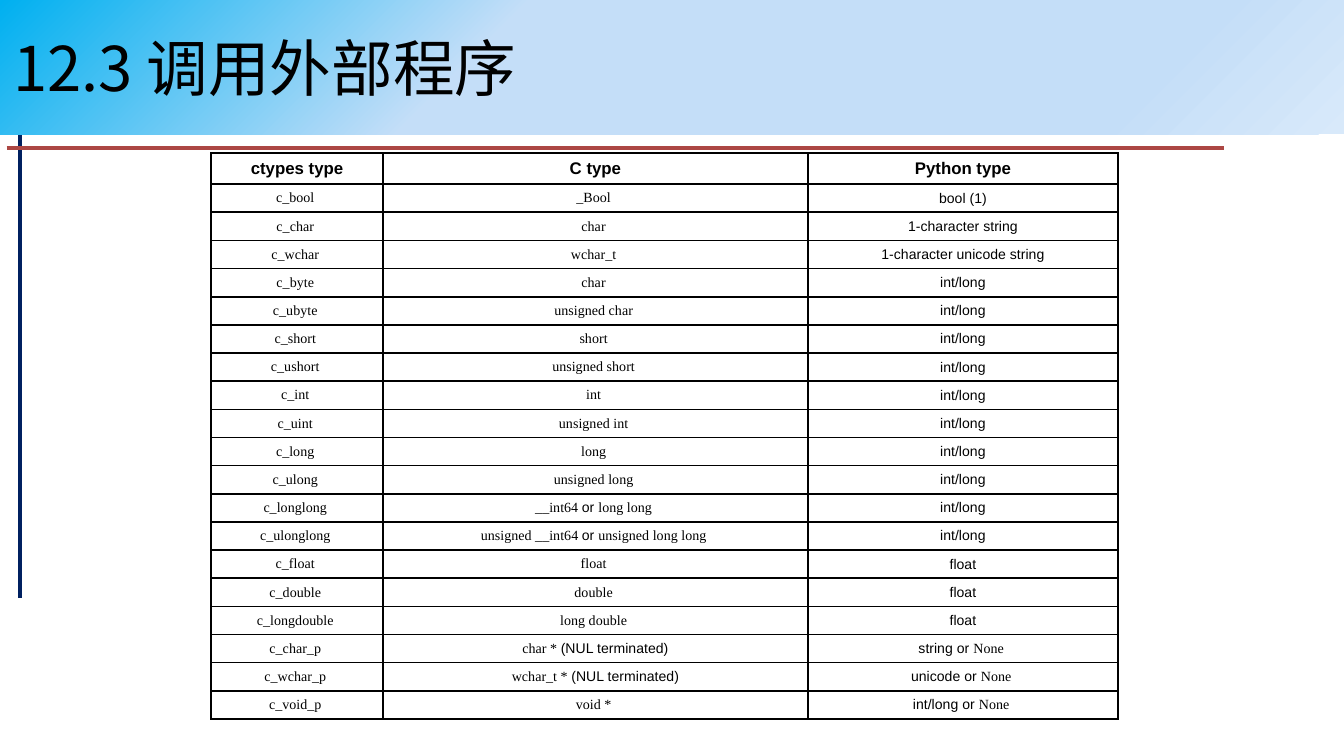
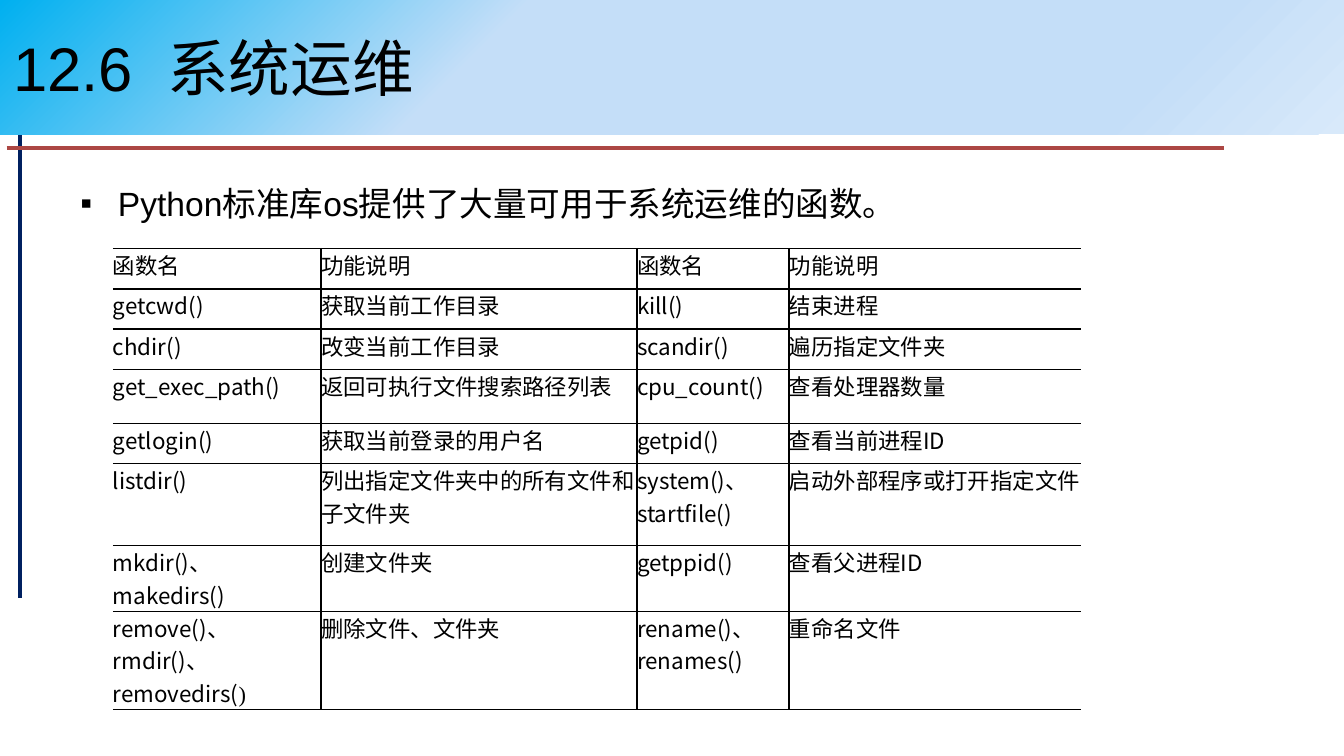
from dataclasses import dataclass
from itertools import cycle

from lxml import etree
from pptx import Presentation
from pptx.dml.color import RGBColor
from pptx.enum.shapes import MSO_CONNECTOR as CONNECTOR, MSO_SHAPE as SHAPE
from pptx.enum.text import MSO_ANCHOR as ANCHOR, PP_ALIGN as ALIGN
from pptx.oxml import parse_xml
from pptx.oxml.ns import nsdecls, qn
from pptx.slide import Slide
from pptx.util import Inches, Pt

SANS, CJK, SERIF = "Arial", "Noto Sans CJK SC", "Times New Roman"
BLACK, NAVY, BRICK = "000000", "002060", "AC4744"
BAND_STOPS = [(0, "00B0F0"), (36, "C4DEF8"), (83, "C4DEF8"), (100, "D8E9FA")]


@dataclass
class Rule:
    """A straight line shared by all slides."""
    start: tuple[float, float]
    end: tuple[float, float]
    color: str


@dataclass
class TableStyle:
    """Place, grid and text style of a table; fonts go by column."""
    left: float
    top: float
    widths: list[float]
    heights: list[float]
    fonts: list[str]
    other_fonts: list[str]
    size: float
    margins: tuple[float, float] = (0, 0)
    align: ALIGN = ALIGN.LEFT
    anchor: ANCHOR = ANCHOR.TOP
    header_size: float | None = None
    open_sides: bool = False


RULES = [Rule((0.15, 0.81), (0.15, 4.45), NAVY),
         Rule((0.05, 1.1), (9.11, 1.1), BRICK)]


def rgb(color: str) -> RGBColor:
    """Turn a hex string into a colour."""
    return RGBColor.from_string(color)


def set_face(font, name: str) -> None:
    """Set the Latin font and the font of Chinese characters."""
    font.name = name
    for old in font._element.findall(qn("a:ea")):
        font._element.remove(old)
    east_asian = etree.Element(qn("a:ea"), typeface=CJK)
    font._element.find(qn("a:latin")).addnext(east_asian)


def write(paragraph, text: str, size: float, face: str, other: str = SANS) -> None:
    """Write text whose parts, split by |, alternate between two fonts."""
    paragraph.font.size = Pt(size)
    paragraph.font.color.rgb = rgb(BLACK)
    set_face(paragraph.font, face)
    parts = text.split("|")
    for part, part_face in zip(parts, cycle((face, other))):
        run = paragraph.add_run()
        run.text = part
        if len(parts) > 1:
            set_face(run.font, part_face)


def add_rule(slide: Slide, rule: Rule) -> None:
    """Draw a line without a shadow."""
    ends = [Inches(v) for v in (*rule.start, *rule.end)]
    line = slide.shapes.add_connector(CONNECTOR.STRAIGHT, *ends)
    line.line.color.rgb = rgb(rule.color)
    line.line.width = Pt(2.25)
    etree.SubElement(line._element.spPr, qn("a:effectLst"))


def add_title(slide: Slide, text: str, face: str) -> None:
    """Draw the title band with its radial gradient."""
    band = slide.shapes.add_shape(SHAPE.RECTANGLE, 0, 0, Inches(10), Inches(1))
    band.shadow.inherit = False
    band.line.fill.background()
    stops = "".join(f'<a:gs pos="{pos * 1000}"><a:srgbClr val="{color}"/></a:gs>'
                    for pos, color in BAND_STOPS)
    gradient = parse_xml(
        f'<a:gradFill {nsdecls("a")} rotWithShape="1"><a:gsLst>{stops}</a:gsLst>'
        '<a:path path="circle"><a:fillToRect r="100000" b="100000"/></a:path>'
        '</a:gradFill>')
    band._element.spPr.find(qn("a:prstGeom")).addnext(gradient)
    frame = band.text_frame
    frame.word_wrap = True
    frame.vertical_anchor = ANCHOR.MIDDLE
    frame.paragraphs[0].alignment = ALIGN.LEFT
    write(frame.paragraphs[0], text, 33, face)


def add_bullet(slide: Slide, text: str) -> None:
    """Write the body text with a square bullet."""
    body = slide.shapes.add_textbox(Inches(0.5), Inches(1.31), Inches(9), Inches(3.71))
    body.text_frame.word_wrap = True
    paragraph = body.text_frame.paragraphs[0]
    paragraph.space_before = Pt(2.7)
    write(paragraph, text, 18, SANS)
    props = paragraph._p.get_or_add_pPr()
    props.set("marL", str(Inches(0.28)))
    props.set("indent", str(-Inches(0.28)))
    defaults = props.find(qn("a:defRPr"))
    defaults.addprevious(parse_xml(f'<a:buFont {nsdecls("a")} typeface="{SANS}"/>'))
    defaults.addprevious(parse_xml(f'<a:buChar {nsdecls("a")} char="▪"/>'))


def set_borders(cell, sides: str) -> None:
    """Give the named sides of a cell a thin black line, the others none."""
    for side in "LRTB":
        fill = (f'<a:solidFill><a:srgbClr val="{BLACK}"/></a:solidFill>'
                if side in sides else "<a:noFill/>")
        cell._tc.get_or_add_tcPr().append(parse_xml(
            f'<a:ln{side} {nsdecls("a")} w="{Pt(1)}">{fill}</a:ln{side}>'))


def add_table(slide: Slide, rows: list[tuple[str, ...]], style: TableStyle) -> None:
    """Draw a plain table with black borders."""
    last = len(style.widths) - 1
    table = slide.shapes.add_table(
        len(rows), last + 1, Inches(style.left), Inches(style.top),
        Inches(sum(style.widths)), Inches(sum(style.heights))).table
    table.first_row = table.horz_banding = False
    for column, width in zip(table.columns, style.widths):
        column.width = Inches(width)
    side, edge = (Inches(v) for v in style.margins)
    for r, row in enumerate(rows):
        table.rows[r].height = Inches(style.heights[r])
        for c, text in enumerate(row):
            cell = table.cell(r, c)
            cell.margin_left = cell.margin_right = side
            cell.margin_top = cell.margin_bottom = edge
            cell.vertical_anchor = style.anchor
            left = "" if style.open_sides and c == 0 else "L"
            right = "" if style.open_sides and c == last else "R"
            set_borders(cell, left + right + "TB")
            cell.fill.background()
            paragraph = cell.text_frame.paragraphs[0]
            paragraph.alignment = style.align
            if r == 0 and style.header_size:
                write(paragraph, text, style.header_size, SANS)
                paragraph.font.bold = True
            else:
                write(paragraph, text, style.size, style.fonts[c], style.other_fonts[c])


def add_slide(deck) -> Slide:
    """Add a blank slide with the shared lines."""
    slide = deck.slides.add_slide(deck.slide_layouts[6])
    for rule in RULES:
        add_rule(slide, rule)
    return slide


CTYPES = [
    ("ctypes type", "C type", "Python type"),
    ("c_bool ", "_Bool ", "bool (1)"),
    ("c_char ", "char ", "1-character string"),
    ("c_wchar ", "wchar_t ", "1-character unicode string"),
    ("c_byte ", "char ", "int/long"),
    ("c_ubyte ", "unsigned char ", "int/long"),
    ("c_short ", "short ", "int/long"),
    ("c_ushort ", "unsigned short ", "int/long"),
    ("c_int ", "int ", "int/long"),
    ("c_uint ", "unsigned int ", "int/long"),
    ("c_long ", "long ", "int/long"),
    ("c_ulong ", "unsigned long ", "int/long"),
    ("c_longlong ", "__int64 |or |long long ", "int/long"),
    ("c_ulonglong ", "unsigned __int64 |or |unsigned long long ", "int/long"),
    ("c_float ", "float ", "float"),
    ("c_double ", "double ", "float"),
    ("c_longdouble ", "long double ", "float"),
    ("c_char_p ", "char * |(NUL terminated)", "string or |None "),
    ("c_wchar_p ", "wchar_t * |(NUL terminated)", "unicode or |None "),
    ("c_void_p ", "void * ", "int/long or |None "),
]
CTYPES_HEIGHT, CTYPES_HEADER = 4.21, 0.23
CTYPES_ROW = (CTYPES_HEIGHT - CTYPES_HEADER) / (len(CTYPES) - 1)
CTYPES_STYLE = TableStyle(
    1.57, 1.14, [1.28, 3.16, 2.31], [CTYPES_HEADER] + [CTYPES_ROW] * (len(CTYPES) - 1),
    [SERIF, SERIF, SANS], [SANS, SANS, SERIF], 7.5,
    (0.07, 0.04), ALIGN.CENTER, ANCHOR.MIDDLE, header_size=9)

OS_FUNCTIONS = [
    ("函数名", "功能说明") * 2,
    ("getcwd()", "获取当前工作目录", "kill()", "结束进程"),
    ("chdir()", "改变当前工作目录", "scandir()", "遍历指定文件夹"),
    ("get_exec_path()", "返回可执行文件搜索路径列表", "cpu_count()", "查看处理器数量"),
    ("getlogin()", "获取当前登录的用户名", "getpid()", "查看当前进程ID"),
    ("listdir()", "列出指定文件夹中的所有文件和子文件夹",
     "system()、startfile()", "启动外部程序或打开指定文件"),
    ("mkdir()、makedirs()", "创建文件夹", "getppid()", "查看父进程ID"),
    ("remove()、rmdir()、removedirs(|)", "删除文件、文件夹",
     "rename()、renames()", "重命名文件"),
]
OS_STYLE = TableStyle(
    0.84, 1.85, [1.55, 2.35, 1.13, 2.17], [0.3, 0.3, 0.3, 0.4, 0.3, 0.61, 0.49, 0.73],
    [CJK] * 4, [SERIF] * 4, 12, open_sides=True)

deck = Presentation()
deck.slide_width = Inches(10)
deck.slide_height = deck.slide_width * 9 // 16

external_programs = add_slide(deck)
add_table(external_programs, CTYPES, CTYPES_STYLE)
add_title(external_programs, "12.3 |调用外部程序", CJK)

system_operations = add_slide(deck)
add_title(system_operations, "12.6  系统运维", SANS)
add_bullet(system_operations, "Python标准库os提供了大量可用于系统运维的函数。")
add_table(system_operations, OS_FUNCTIONS, OS_STYLE)

deck.save("out.pptx")
